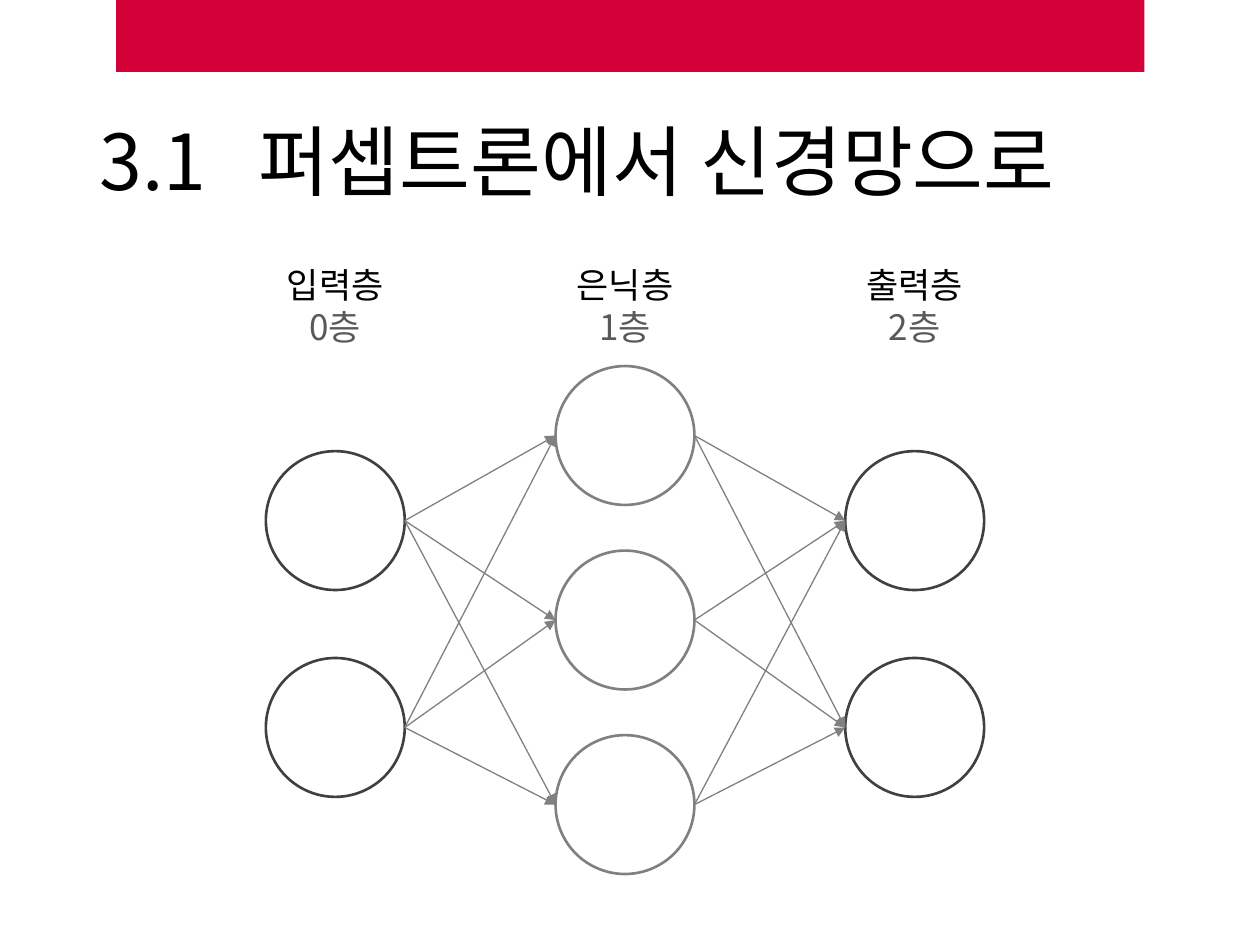
from dataclasses import dataclass
from itertools import pairwise, product

import lxml.etree
import pptx
import pptx.dml.color
import pptx.enum.shapes
import pptx.enum.text
import pptx.oxml.ns
import pptx.shapes.autoshape
import pptx.slide
import pptx.text.text
import pptx.util

Cm = pptx.util.Cm
Pt = pptx.util.Pt
qn = pptx.oxml.ns.qn


@dataclass(frozen=True)
class Theme:
    font: str = "Noto Sans CJK KR"
    title_size: int = 44
    label_size: int = 20
    node_line: float = 1.5
    arrow_line: float = 0.75
    banner: str = "D30037"
    paper: str = "FFFFFF"
    ink: str = "000000"
    muted: str = "595959"
    outer_node: str = "404040"
    hidden_node: str = "808080"
    arrow: str = "808080"


@dataclass(frozen=True)
class Layer:
    """A column of neurons; positions are in centimetres."""
    name: str
    depth: str
    x: float
    middle: float
    pitch: float
    count: int
    color: str

    def centers(self) -> list[float]:
        top = self.middle - self.pitch * (self.count - 1) / 2
        return [top + self.pitch * row for row in range(self.count)]


THEME = Theme()
DIAMETER = 2.8
RADIUS = DIAMETER / 2
LAYER_GAP = 5.84
FIRST_X = 6.76

LAYERS = [
    Layer("입력층", "0층", FIRST_X, 12.58, 4.17, 2, THEME.outer_node),
    Layer("은닉층", "1층", FIRST_X + LAYER_GAP, 12.5, 3.72, 3, THEME.hidden_node),
    Layer("출력층", "2층", FIRST_X + 2 * LAYER_GAP, 12.58, 4.17, 2, THEME.outer_node),
]


def rgb(value: str) -> pptx.dml.color.RGBColor:
    return pptx.dml.color.RGBColor.from_string(value)


def style_paragraph(paragraph: pptx.text.text._Paragraph, size: int, color: str) -> None:
    font = paragraph.font
    font.size = Pt(size)
    font.name = THEME.font
    font.color.rgb = rgb(color)
    # Hangul takes its typeface from the East Asian font
    lxml.etree.SubElement(font._element, qn("a:ea"), typeface=THEME.font)


def add_filled(slide: pptx.slide.Slide, kind: pptx.enum.shapes.MSO_SHAPE,
               left: float, top: float, width: float, height: float,
               fill: str) -> pptx.shapes.autoshape.Shape:
    shape = slide.shapes.add_shape(kind, Cm(left), Cm(top), Cm(width), Cm(height))
    shape.shadow.inherit = False
    shape.fill.solid()
    shape.fill.fore_color.rgb = rgb(fill)
    return shape


def add_title(slide: pptx.slide.Slide, number: str, heading: str) -> None:
    title = slide.shapes.title
    title.left, title.top, title.width, title.height = Cm(1.75), Cm(1.96), Cm(21.9), Cm(2.74)
    frame = title.text_frame
    frame.auto_size = pptx.enum.text.MSO_AUTO_SIZE.NONE
    frame.vertical_anchor = pptx.enum.text.MSO_ANCHOR.MIDDLE
    frame.text = f"{number}\t{heading}"
    paragraph = frame.paragraphs[0]
    paragraph.alignment = pptx.enum.text.PP_ALIGN.LEFT
    paragraph.line_spacing = 0.9
    # The heading starts at a tab stop after its number
    tabs = lxml.etree.SubElement(paragraph._p.get_or_add_pPr(), qn("a:tabLst"))
    lxml.etree.SubElement(tabs, qn("a:tab"), pos=str(Cm(3.2)), algn="l")
    style_paragraph(paragraph, THEME.title_size, THEME.ink)


def add_neurons(slide: pptx.slide.Slide, layer: Layer) -> None:
    for y in layer.centers():
        neuron = add_filled(slide, pptx.enum.shapes.MSO_SHAPE.OVAL, layer.x - RADIUS,
                            y - RADIUS, DIAMETER, DIAMETER, THEME.paper)
        neuron.line.color.rgb = rgb(layer.color)
        neuron.line.width = Pt(THEME.node_line)


def add_arrow(slide: pptx.slide.Slide, x1: float, y1: float, x2: float, y2: float) -> None:
    arrow = slide.shapes.add_connector(pptx.enum.shapes.MSO_CONNECTOR.STRAIGHT,
                                       Cm(x1), Cm(y1), Cm(x2), Cm(y2))
    arrow.line.color.rgb = rgb(THEME.arrow)
    arrow.line.width = Pt(THEME.arrow_line)
    lxml.etree.SubElement(arrow.line._get_or_add_ln(), qn("a:tailEnd"), type="triangle")
    lxml.etree.SubElement(arrow._element.spPr, qn("a:effectLst"))


def add_label(slide: pptx.slide.Slide, layer: Layer) -> None:
    width = 2.75
    label = slide.shapes.add_textbox(Cm(layer.x - width / 2), Cm(5.18), Cm(width), Cm(1.96))
    frame = label.text_frame
    frame.word_wrap = True
    frame.text = f"{layer.name}\n{layer.depth}"
    for paragraph, color in zip(frame.paragraphs, (THEME.ink, THEME.muted)):
        paragraph.alignment = pptx.enum.text.PP_ALIGN.CENTER
        style_paragraph(paragraph, THEME.label_size, color)


def main() -> None:
    deck = pptx.Presentation()
    deck.slide_width, deck.slide_height = Cm(25.4), Cm(19.05)
    slide = deck.slides.add_slide(deck.slide_layouts.get_by_name("Title Only"))

    # Banner and title
    banner = add_filled(slide, pptx.enum.shapes.MSO_SHAPE.RECTANGLE,
                        2.34, 0, 20.73, 1.45, THEME.banner)
    banner.line.fill.background()
    add_title(slide, "3.1", "퍼셉트론에서 신경망으로")

    # Neurons of each layer
    for layer in LAYERS:
        add_neurons(slide, layer)

    # Every neuron feeds every neuron of the next layer
    for source, target in pairwise(LAYERS):
        for start, end in product(source.centers(), target.centers()):
            add_arrow(slide, source.x + RADIUS, start, target.x - RADIUS, end)

    # Layer names
    for layer in LAYERS:
        add_label(slide, layer)

    deck.save("out.pptx")


if __name__ == "__main__":
    main()
